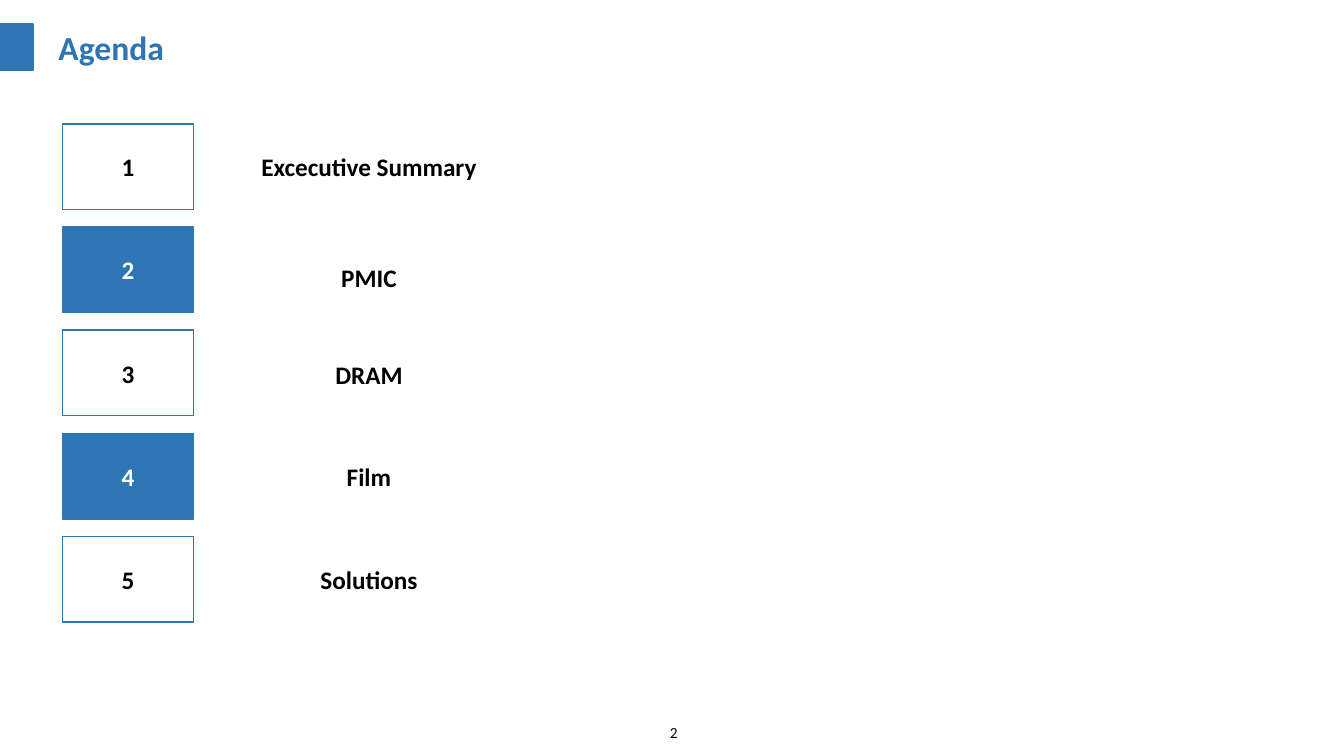
import pptx
import pptx.util
import pptx.dml.color
import pptx.enum.shapes
import pptx.enum.text

Inches = pptx.util.Inches
ALIGN = pptx.enum.text.PP_ALIGN
ANCHOR = pptx.enum.text.MSO_ANCHOR

BLUE, BLACK, WHITE = "2E75B6", "000000", "FFFFFF"
TITLE = "Agenda"
PAGE = "2"
AGENDA = [
    ("Excecutive Summary", 1.23),
    ("PMIC", 2.33),
    ("DRAM", 3.29),
    ("Film", 4.3),
    ("Solutions", 5.32),
]
FIRST_TOP, LAST_TOP = 1.23, 5.32
ROW_HEIGHT = 0.85
NUMBER_LEFT, NUMBER_WIDTH = 0.62, 1.3
LABEL_LEFT, LABEL_WIDTH = 2.13, 3.06


def color(value):
    return pptx.dml.color.RGBColor.from_string(value)


def write(sp, text, size=18, fill=BLACK, bold=True, align=ALIGN.CENTER, anchor=ANCHOR.MIDDLE):
    tf = sp.text_frame
    tf.word_wrap = True
    tf.auto_size = pptx.enum.text.MSO_AUTO_SIZE.NONE
    tf.vertical_anchor = anchor
    tf.margin_left = tf.margin_right = Inches(0.1)
    tf.margin_top = tf.margin_bottom = Inches(0.05)
    p = tf.paragraphs[0]
    p.alignment = align
    p.line_spacing = 1.0
    p.space_before = pptx.util.Pt(0)
    r = p.add_run()
    r.text = text
    r.font.name = "Calibri"
    r.font.size = pptx.util.Pt(size)
    r.font.bold = bold
    r.font.color.rgb = color(fill)


def add_box(s, left, top, width, height, filled):
    sp = s.shapes.add_shape(pptx.enum.shapes.MSO_SHAPE.RECTANGLE,
                            Inches(left), Inches(top), Inches(width), Inches(height))
    sp.shadow.inherit = False
    if filled:
        sp.fill.solid()
        sp.fill.fore_color.rgb = color(BLUE)
    else:
        sp.fill.background()
    sp.line.color.rgb = color(BLUE)
    sp.line.width = pptx.util.Pt(1)
    return sp


def add_text(s, left, top, width, height, text, **style):
    sp = s.shapes.add_textbox(Inches(left), Inches(top), Inches(width), Inches(height))
    write(sp, text, **style)


def main():
    prs = pptx.Presentation()
    prs.slide_width, prs.slide_height = Inches(13.33), Inches(7.5)
    s = prs.slides.add_slide(prs.slide_layouts[5])

    title = s.shapes.title
    title.left, title.top = Inches(0.48), Inches(0.22)
    title.width, title.height = Inches(12.55), Inches(0.5)
    write(title, TITLE, size=24, fill=BLUE, align=ALIGN.LEFT, anchor=ANCHOR.TOP)

    add_box(s, 0, 0.24, 0.33, 0.46, True)
    pitch = (LAST_TOP - FIRST_TOP) / (len(AGENDA) - 1)
    for i, (label, label_top) in enumerate(AGENDA):
        filled = i % 2 == 1
        sp = add_box(s, NUMBER_LEFT, FIRST_TOP + i * pitch, NUMBER_WIDTH, ROW_HEIGHT, filled)
        write(sp, str(i + 1), fill=WHITE if filled else BLACK)
        add_text(s, LABEL_LEFT, label_top, LABEL_WIDTH, ROW_HEIGHT, label)

    add_text(s, 6.52, 7.07, 0.3, 0.4, PAGE, size=11, bold=False, align=ALIGN.RIGHT)
    prs.save("out.pptx")


if __name__ == "__main__":
    main()
